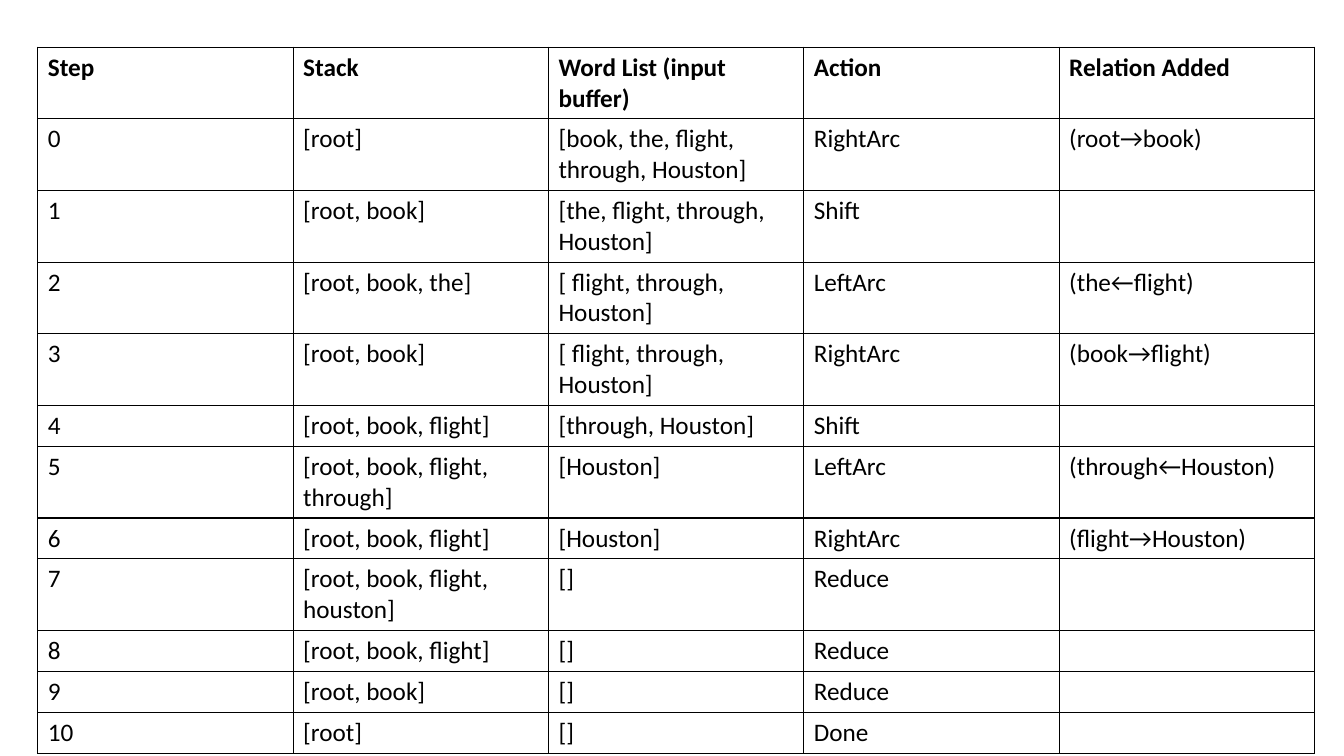
from lxml.etree import SubElement
from pptx import Presentation
from pptx.dml.color import RGBColor
from pptx.oxml.ns import qn
from pptx.util import Pt

PX = 9525
COLORS = {"ink": "000000", "page": "FFFFFF"}
FONT = "Calibri"
TALL, SHORT = 68, 39
TALL_ROWS = {0, 1, 2, 3, 4, 6, 8}

STEPS = [
    ("Step", "Stack", "Word List (input buffer)", "Action", "Relation Added"),
    ("0", "[root]", "[book, the, flight, through, Houston]", "RightArc", "(root→book)"),
    ("1", "[root, book]", "[the, flight, through, Houston]", "Shift", ""),
    ("2", "[root, book, the]", "[ flight, through, Houston]", "LeftArc", "(the←flight)"),
    ("3", "[root, book]", "[ flight, through, Houston]", "RightArc", "(book→flight)"),
    ("4", "[root, book, flight]", "[through, Houston]", "Shift", ""),
    ("5", "[root, book, flight, through]", "[Houston]", "LeftArc", "(through←Houston)"),
    ("6", "[root, book, flight]", "[Houston]", "RightArc", "(flight→Houston)"),
    ("7", "[root, book, flight, houston]", "[]", "Reduce", ""),
    ("8", "[root, book, flight]", "[]", "Reduce", ""),
    ("9", "[root, book]", "[]", "Reduce", ""),
    ("10", "[root]", "[]", "Done", ""),
]


def add_border(cell):
    props = cell._tc.get_or_add_tcPr()
    for i, side in enumerate(("a:lnL", "a:lnR", "a:lnT", "a:lnB")):
        line = SubElement(props, qn(side), w=str(Pt(1)))
        fill = SubElement(line, qn("a:solidFill"))
        SubElement(fill, qn("a:srgbClr"), val=COLORS["ink"])
        props.insert(i, line)


def set_cell(cell, text, bold):
    cell.fill.solid()
    cell.fill.fore_color.rgb = RGBColor.from_string(COLORS["page"])
    add_border(cell)
    cell.text_frame.text = text
    para = cell.text_frame.paragraphs[0]
    para.font.size = Pt(18)
    for run in para.runs:
        run.font.name = FONT
        run.font.size = Pt(18)
        run.font.bold = bold
        run.font.color.rgb = RGBColor.from_string(COLORS["ink"])


def add_steps(slide, left, top, width):
    heights = [TALL if r in TALL_ROWS else SHORT for r in range(len(STEPS))]
    count = len(STEPS[0])
    frame = slide.shapes.add_table(
        len(STEPS), count, left * PX, top * PX, width * PX, sum(heights) * PX)
    table = frame.table
    table.horz_banding = False
    for col in table.columns:
        col.width = width * PX // count
    for r, (row, height) in enumerate(zip(table.rows, heights)):
        row.height = height * PX
        for cell, text in zip(row.cells, STEPS[r]):
            set_cell(cell, text, r == 0)


def main():
    deck = Presentation()
    deck.slide_width, deck.slide_height = 1280 * PX, 720 * PX
    slide = deck.slides.add_slide(deck.slide_layouts[6])
    add_steps(slide, 36, 45, 1216)
    deck.save("out.pptx")


if __name__ == "__main__":
    main()
